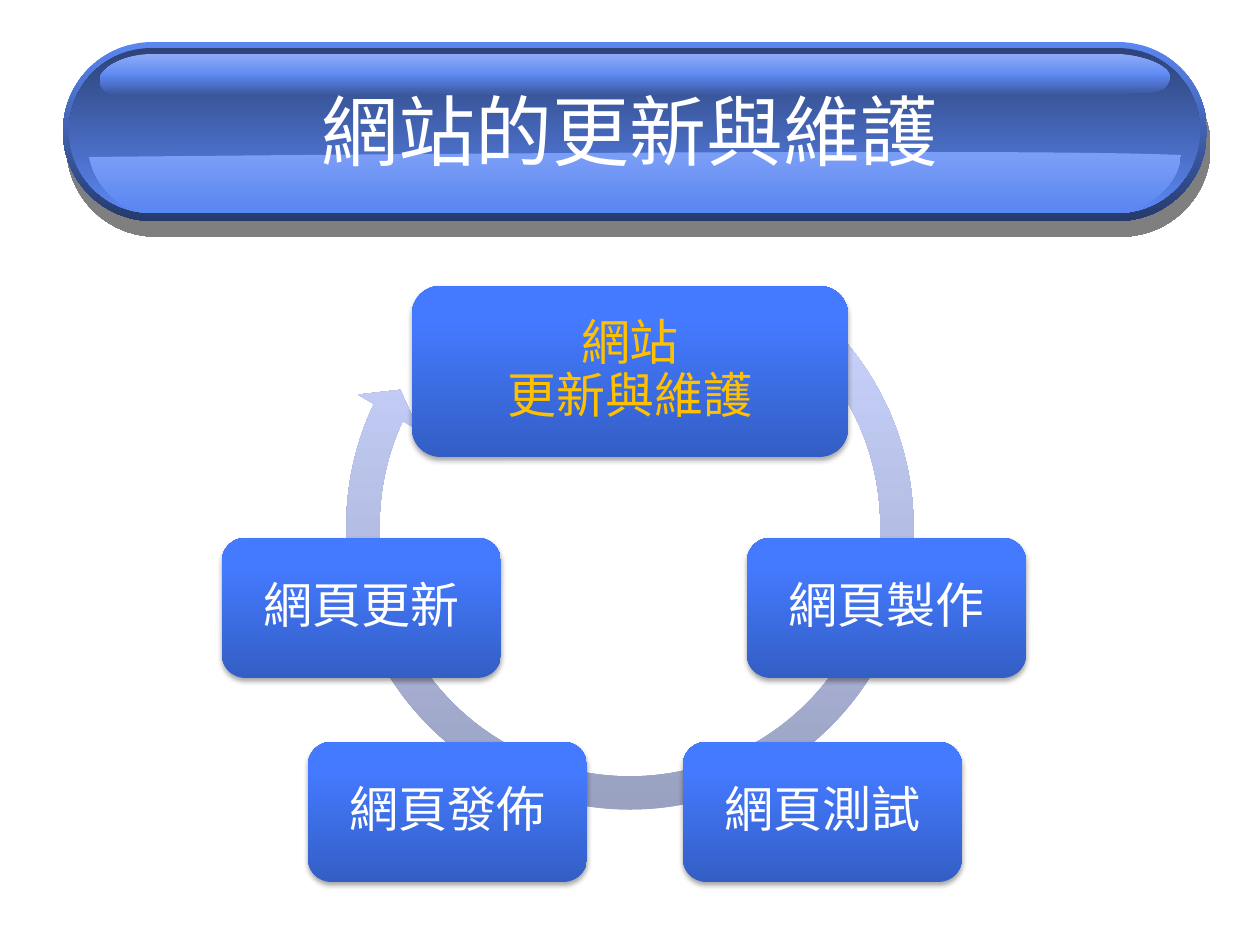
from typing import NamedTuple

from lxml.etree import SubElement
from pptx import Presentation
from pptx.dml.color import RGBColor
from pptx.enum.shapes import MSO_SHAPE
from pptx.enum.text import MSO_ANCHOR, PP_ALIGN
from pptx.oxml.ns import qn
from pptx.util import Pt

EMU_PER_PX = 914400 / 126
FONT = "Noto Sans CJK JP"
COLORS = {
    "white": "FFFFFF", "gold": "FFC000", "black": "000000",
    "rim": "5B87F2", "rim_dark": "263A6B", "body_dark": "2D4379",
    "gloss": "8FABF6", "gloss_dark": "3A5499", "gloss_low": "7A9DF6",
    "ring_dark": "989FBF", "ring": "C5CFF8", "ring_light": "C5CFFA",
    "box_dark": "335EC5", "box": "447AFF", "box_light": "457BFF",
}
DOWN, UP = 90, 270


class Gradient(NamedTuple):
    stops: tuple[tuple[int, str], ...]
    angle: int


class Shadow(NamedTuple):
    alpha: int
    blur: float
    distance: float
    direction: int


class Rect(NamedTuple):
    left: int
    top: int
    width: int
    height: int


class Step(NamedTuple):
    text: str
    rect: Rect
    color: str = "white"


class Gloss(NamedTuple):
    """Outline of (x, y) points; a segment of one point is a line, of three a Bezier."""
    start: tuple[int, int]
    segments: tuple[tuple[tuple[int, int], ...], ...]
    fill: Gradient


BOX_FILL = Gradient(((0, "box_dark"), (80, "box"), (100, "box_light")), UP)
RING_FILL = Gradient(((0, "ring_dark"), (80, "ring"), (100, "ring_light")), UP)
BOX_SHADOW = Shadow(35, 3.1, 1.8, 90)
BOX_W, BOX_H = 279, 140
UPPER, LOWER = 538, 742

STEPS = [
    Step("網站\v更新與維護", Rect(412, 286, 436, 171), "gold"),
    Step("網頁製作", Rect(747, UPPER, BOX_W, BOX_H)),
    Step("網頁測試", Rect(683, LOWER, BOX_W, BOX_H)),
    Step("網頁發佈", Rect(308, LOWER, BOX_W, BOX_H)),
    Step("網頁更新", Rect(222, UPPER, BOX_W, BOX_H)),
]
GLOSSES = [
    Gloss((100, 77),
          (((106, 63), (132, 54), (152, 54)), ((1119, 54),),
           ((1138, 55), (1169, 64), (1170, 77)), ((1000, 81), (100, 77), (100, 77))),
          Gradient(((0, "gloss"), (100, "rim")), DOWN)),
    Gloss((100, 75),
          (((98, 91), (108, 96), (129, 96)), ((1142, 93),),
           ((1160, 92), (1169, 89), (1170, 76)), ((100, 75),)),
          Gradient(((0, "rim"), (100, "gloss_dark")), DOWN)),
    Gloss((89, 157),
          (((96, 189), (122, 210), (144, 211)), ((1128, 211),),
           ((1147, 207), (1179, 186), (1181, 155)), ((1008, 147), (89, 157), (89, 157))),
          Gradient(((0, "gloss_low"), (100, "rim")), DOWN)),
]


def px(value: int) -> int:
    return round(value * EMU_PER_PX)


def style(sp, gradient: Gradient, shadow: Shadow | None = None) -> None:
    sp.fill.gradient()
    grad = sp.element.spPr.find(qn("a:gradFill"))
    stops = grad.find(qn("a:gsLst"))
    for stop in list(stops):
        stops.remove(stop)
    for pos, color in gradient.stops:
        stop = SubElement(stops, qn("a:gs"), pos=str(pos * 1000))
        SubElement(stop, qn("a:srgbClr"), val=COLORS[color])
    grad.find(qn("a:lin")).set("ang", str(gradient.angle * 60000))
    sp.line.fill.background()
    sp.shadow.inherit = False
    if shadow:
        effects = sp.element.spPr.find(qn("a:effectLst"))
        outer = SubElement(effects, qn("a:outerShdw"), blurRad=str(Pt(shadow.blur)),
                           dist=str(Pt(shadow.distance)),
                           dir=str(shadow.direction * 60000), rotWithShape="0")
        color = SubElement(outer, qn("a:srgbClr"), val=COLORS["black"])
        SubElement(color, qn("a:alpha"), val=str(shadow.alpha * 1000))


def add_shape(s, kind: MSO_SHAPE, rect: Rect, gradient: Gradient,
              shadow: Shadow | None = None, adjustments: tuple[float, ...] = ()):
    sp = s.shapes.add_shape(kind, *map(px, rect))
    for i, value in enumerate(adjustments):
        sp.adjustments[i] = value
    style(sp, gradient, shadow)
    return sp


def add_gloss(s, gloss: Gloss) -> None:
    """Build the outline from its corners, then bend the curved segments."""
    corners = [(px(x), px(y)) for x, y in
               (gloss.start, *(segment[-1] for segment in gloss.segments))]
    builder = s.shapes.build_freeform(*corners[0])
    builder.add_line_segments(corners[1:], close=True)
    sp = builder.convert_to_shape()
    lines = list(sp.element.spPr.iter(qn("a:lnTo")))
    for line, segment in zip(lines, gloss.segments):
        if len(segment) == 3:
            curve = line.makeelement(qn("a:cubicBezTo"))
            for x, y in segment:
                SubElement(curve, qn("a:pt"), x=str(px(x) - sp.left), y=str(px(y) - sp.top))
            line.getparent().replace(line, curve)
    style(sp, gloss.fill)


def write(sp, text: str, size: int, color: str, inset: int, spacing: float) -> None:
    tf = sp.text_frame
    frame_format = {"word_wrap": True, "vertical_anchor": MSO_ANCHOR.MIDDLE}
    frame_format |= {f"margin_{side}": px(inset)
                     for side in ("left", "top", "right", "bottom")}
    for name, value in frame_format.items():
        setattr(tf, name, value)
    p = tf.paragraphs[0]
    p.text = text
    p.alignment, p.line_spacing = PP_ALIGN.CENTER, spacing
    for r in p.runs:
        r.font.size, r.font.name = Pt(size), FONT
        r.font.color.rgb = RGBColor.from_string(COLORS[color])
        SubElement(r.font._element, qn("a:ea"), typeface=FONT)


def add_banner(s) -> None:
    add_shape(s, MSO_SHAPE.ROUNDED_RECTANGLE, Rect(63, 42, 1144, 179),
              Gradient(((0, "rim"), (100, "rim_dark")), DOWN), Shadow(50, 0, 9.2, 77), (0.5,))
    add_shape(s, MSO_SHAPE.ROUNDED_RECTANGLE, Rect(69, 48, 1131, 165),
              Gradient(((0, "body_dark"), (100, "rim")), DOWN), adjustments=(0.5,))
    for gloss in GLOSSES:
        add_gloss(s, gloss)
    title = s.shapes.title
    title.left, title.top, title.width, title.height = map(px, (94, 51, 1071, 158))
    write(title, "網站的更新與維護", 44, "white", 6, 1)
    s.shapes.element.append(title.element)


def add_cycle(s) -> None:
    add_shape(s, MSO_SHAPE.CIRCULAR_ARROW, Rect(328, 224, 604, 604), RING_FILL,
              adjustments=(0.055, 3.307, 123.097, 183.576, 0.058))
    for step in STEPS:
        sp = add_shape(s, MSO_SHAPE.ROUNDED_RECTANGLE, step.rect, BOX_FILL, BOX_SHADOW)
        write(sp, step.text, 28, step.color, 15, 0.9)


def main() -> None:
    prs = Presentation()
    prs.slide_width, prs.slide_height = px(1260), px(945)
    s = prs.slides.add_slide(prs.slide_layouts[5])
    add_banner(s)
    add_cycle(s)
    prs.save("out.pptx")


if __name__ == "__main__":
    main()
